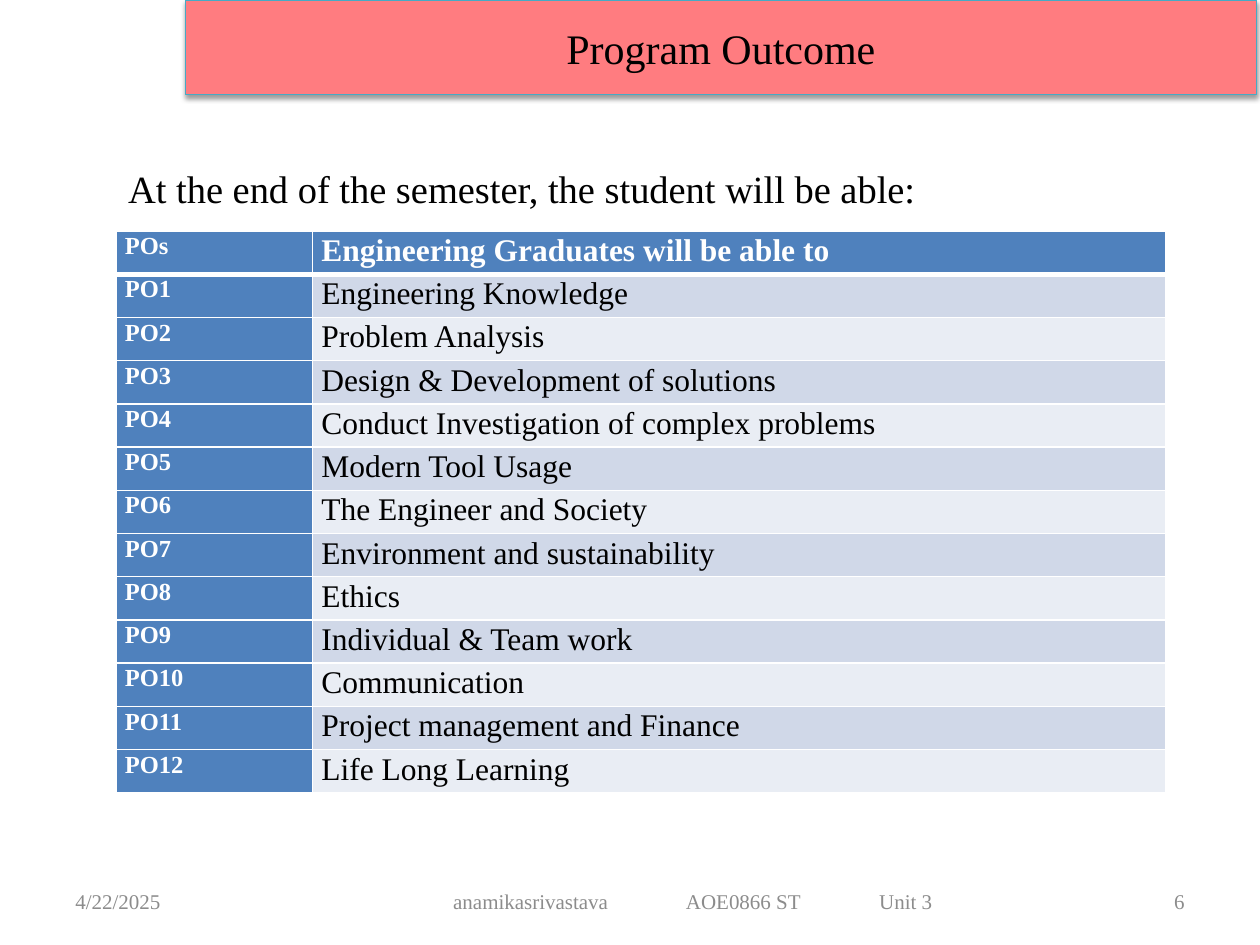
import pptx
import pptx.dml.color
import pptx.enum.text
import pptx.oxml
import pptx.oxml.ns
import pptx.util
from lxml import etree

Pt = pptx.util.Pt
ALIGN = pptx.enum.text.PP_ALIGN
ANCHOR = pptx.enum.text.MSO_ANCHOR
qn = pptx.oxml.ns.qn

# Content
TITLE = "Program Outcome"
INTRO = "At the end of the semester, the student will be able:"
HEADER = ("POs", "Engineering Graduates will be able to")
OUTCOMES = [
    "Engineering Knowledge",
    "Problem Analysis",
    "Design & Development of solutions",
    "Conduct Investigation of complex problems",
    "Modern Tool Usage",
    "The Engineer and Society",
    "Environment and sustainability",
    "Ethics",
    "Individual & Team work",
    "Communication",
    "Project management and Finance",
    "Life Long Learning",
]
FOOTER_PARTS = ("anamikasrivastava", "AOE0866 ST", "Unit 3")
FOOTER_TABS = (133, 243.4)
# text, left, width, alignment, left inset
FOOTERS = [
    ("4/22/2025", 36, 168, ALIGN.LEFT, 7.2),
    ("\t".join(FOOTER_PARTS), 198, 396, ALIGN.LEFT, 61),
    ("6", 516, 168, ALIGN.RIGHT, 7.2),
]

# Style
FONT = "Times New Roman"
BLACK, WHITE, GREY = "000000", "FFFFFF", "8C8C8C"
CORAL, TEAL, BLUE = "FF7C80", "46AAC5", "4F81BD"
BANDS = ("D0D8E8", "E9EDF4")
COLUMN_WIDTHS = (112.3, 487.7)
ROW_HEIGHT = 24.7


def paint(color_format, hex_color):
    color_format.rgb = pptx.dml.color.RGBColor.from_string(hex_color)


def fill_with(target, hex_color):
    target.fill.solid()
    paint(target.fill.fore_color, hex_color)


def format_text(paragraph, size, hex_color, bold=False):
    for run in paragraph.runs:
        run.font.name = FONT
        run.font.size = Pt(size)
        run.font.bold = bold
        paint(run.font.color, hex_color)


def add_text(slide, text, left, top, width, height, anchor):
    box = slide.shapes.add_textbox(Pt(left), Pt(top), Pt(width), Pt(height))
    frame = box.text_frame
    frame.word_wrap = True
    frame.vertical_anchor = anchor
    frame.text = text
    return frame


def set_tabs(paragraph, positions):
    tab_list = etree.SubElement(paragraph._p.get_or_add_pPr(), qn("a:tabLst"))
    for position in positions:
        etree.SubElement(tab_list, qn("a:tab"), pos=str(Pt(position)), algn="l")


def add_shadow(shape, blur, distance, alpha):
    shape.shadow.inherit = False
    effects = shape._element.spPr.find(qn("a:effectLst"))
    shadow = etree.SubElement(
        effects, qn("a:outerShdw"), blurRad=str(Pt(blur)), dist=str(Pt(distance)),
        dir="5400000", rotWithShape="0")
    color = etree.SubElement(shadow, qn("a:srgbClr"), val=BLACK)
    etree.SubElement(color, qn("a:alpha"), val=str(alpha * 1000))


def set_borders(cell, widths):
    properties = cell._tc.get_or_add_tcPr()
    for index, (side, width) in enumerate(widths.items()):
        line = etree.Element(qn("a:ln" + side), w=str(Pt(width)))
        solid = etree.SubElement(line, qn("a:solidFill"))
        etree.SubElement(solid, qn("a:srgbClr"), val=WHITE)
        properties.insert(index, line)


def add_title(slide):
    title = slide.shapes.title
    title.left, title.top, title.width, title.height = Pt(106), Pt(0), Pt(612), Pt(54)
    fill_with(title, CORAL)
    paint(title.line.color, TEAL)
    title.line.width = Pt(0.75)
    add_shadow(title, 3.1, 1.6, 38)
    frame = title.text_frame
    frame.text = TITLE
    frame.auto_size = pptx.enum.text.MSO_AUTO_SIZE.NONE
    frame.vertical_anchor = ANCHOR.MIDDLE
    frame.paragraphs[0].alignment = ALIGN.CENTER
    format_text(frame.paragraphs[0], 24, BLACK)


def add_outcome_table(slide):
    rows = [HEADER] + [(f"PO{n}", text) for n, text in enumerate(OUTCOMES, 1)]
    table = slide.shapes.add_table(
        len(rows), 2, Pt(66.2), Pt(132), Pt(sum(COLUMN_WIDTHS)),
        Pt(ROW_HEIGHT * len(rows))).table
    for column, width in zip(table.columns, COLUMN_WIDTHS):
        column.width = Pt(width)
    for r, texts in enumerate(rows):
        table.rows[r].height = Pt(ROW_HEIGHT)
        for c, text in enumerate(texts):
            cell = table.cell(r, c)
            heading = r == 0 or c == 0
            cell.margin_left = cell.margin_right = Pt(5.2)
            cell.margin_top = cell.margin_bottom = Pt(0)
            fill_with(cell, BLUE if heading else BANDS[(r - 1) % 2])
            set_borders(cell, {"L": 1, "R": 1, "T": 3 if r == 1 else 1,
                               "B": 3 if r == 0 else 1})
            cell.text_frame.text = text
            paragraph = cell.text_frame.paragraphs[0]
            paragraph.line_spacing = 1.07
            format_text(paragraph, 18 if c else 14, WHITE if heading else BLACK, heading)


def main():
    presentation = pptx.Presentation()
    presentation.slide_width, presentation.slide_height = Pt(720), Pt(540)
    slide = presentation.slides.add_slide(presentation.slide_layouts[5])

    # Footer row
    for text, left, width, alignment, inset in FOOTERS:
        frame = add_text(slide, text, left, 500.4, width, 28.8, ANCHOR.MIDDLE)
        frame.margin_left = Pt(inset)
        paragraph = frame.paragraphs[0]
        if "\t" in text:
            set_tabs(paragraph, FOOTER_TABS)
        paragraph.alignment = alignment
        format_text(paragraph, 12, GREY)

    # Title banner and introduction
    add_title(slide)
    intro = add_text(slide, INTRO, 66.2, 87.1, 612, 36, ANCHOR.TOP).paragraphs[0]
    intro.line_spacing = 1.15
    intro.space_after = Pt(10)
    format_text(intro, 22, BLACK)

    add_outcome_table(slide)
    presentation.save("out.pptx")


if __name__ == "__main__":
    main()
